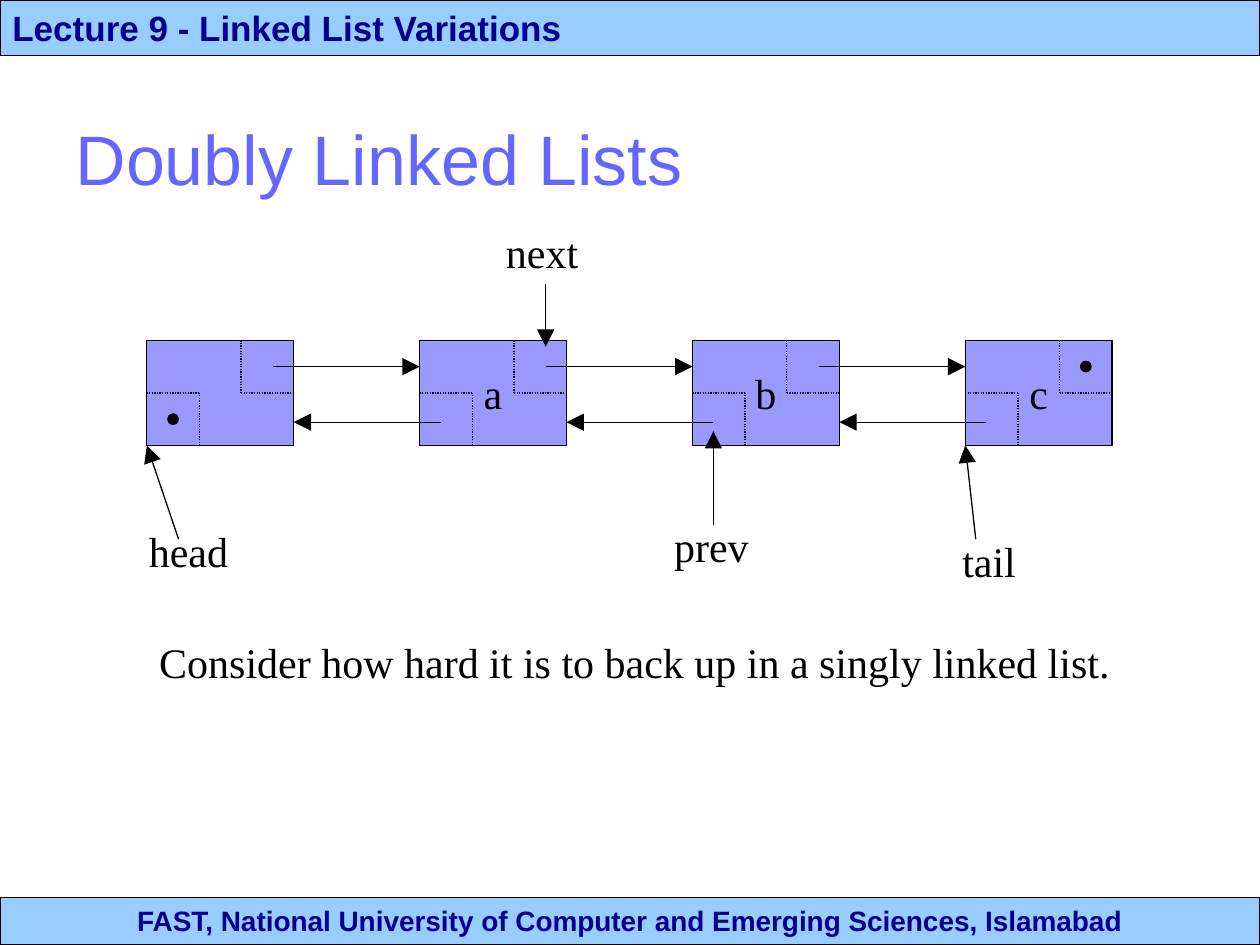
import pptx
import pptx.util
import pptx.dml.color
import pptx.enum.dml
import pptx.enum.shapes
import pptx.enum.text
import pptx.oxml
import pptx.oxml.ns

Cm, Pt = pptx.util.Cm, pptx.util.Pt
SHAPE = pptx.enum.shapes.MSO_SHAPE
ALIGN = pptx.enum.text.PP_ALIGN
ANCHOR = pptx.enum.text.MSO_ANCHOR

COLORS = {"bar": "99CCFF", "bar text": "000090", "node": "9999FF",
          "title": "6666FF", "ink": "000000"}
SERIF, SANS = "Times New Roman", "Arial"

# Node measures in centimetres
NODE_WIDTH, NODE_HEIGHT, PITCH, CORNER = 2.96, 2.12, 5.5, 1.06
NEXT_X, NEXT_Y = 2.54, 0.53
PREV_X, PREV_Y = 0.42, 1.65
DOT = 0.21


def color(name):
    return pptx.dml.color.RGBColor.from_string(COLORS[name])


def set_text(shape, text, size, font=SERIF, ink="ink", bold=False,
             align=ALIGN.LEFT, anchor=ANCHOR.TOP, wrap=True):
    frame = shape.text_frame
    frame.text = text
    frame.word_wrap = wrap
    frame.vertical_anchor = anchor
    paragraph = frame.paragraphs[0]
    paragraph.alignment = align
    paragraph.font.size = Pt(size)
    paragraph.font.name = font
    paragraph.font.bold = bold
    paragraph.font.color.rgb = color(ink)


def add_filled(slide, kind, left, top, width, height, fill):
    shape = slide.shapes.add_shape(kind, Cm(left), Cm(top), Cm(width), Cm(height))
    shape.shadow.inherit = False
    shape.fill.solid()
    shape.fill.fore_color.rgb = color(fill)
    shape.line.color.rgb = color("ink")
    shape.line.width = Pt(0.75)
    return shape


def add_line(slide, start, end, arrow=False, dotted=False):
    connector = slide.shapes.add_connector(
        pptx.enum.shapes.MSO_CONNECTOR.STRAIGHT,
        Cm(start[0]), Cm(start[1]), Cm(end[0]), Cm(end[1]))
    connector.line.color.rgb = color("ink")
    connector.line.width = Pt(0.75)
    if dotted:
        connector.line.dash_style = pptx.enum.dml.MSO_LINE.ROUND_DOT
    properties = connector._element.spPr
    namespace = pptx.oxml.ns.nsdecls("a")
    if arrow:
        properties.find(pptx.oxml.ns.qn("a:ln")).append(pptx.oxml.parse_xml(
            f'<a:tailEnd {namespace} type="triangle" w="lg" len="lg"/>'))
    properties.append(pptx.oxml.parse_xml(f"<a:effectLst {namespace}/>"))


def add_label(slide, text, left, top, width, height, wrap=True):
    box = slide.shapes.add_textbox(Cm(left), Cm(top), Cm(width), Cm(height))
    set_text(box, text, 24, wrap=wrap)
    box.text_frame.auto_size = pptx.enum.text.MSO_AUTO_SIZE.SHAPE_TO_FIT_TEXT


def add_bar(slide, text, size, top, height, align):
    bar = add_filled(slide, SHAPE.RECTANGLE, 0, top, 25.4, height, "bar")
    set_text(bar, text, size, SANS, "bar text", True, align)


def add_title(slide, text, left, top, width, height):
    title = slide.shapes.title
    title.left, title.top = Cm(left), Cm(top)
    title.width, title.height = Cm(width), Cm(height)
    set_text(title, text, 40, SANS, "title", anchor=ANCHOR.MIDDLE)


def add_dot(slide, x, y):
    add_filled(slide, SHAPE.OVAL, x - DOT / 2, y - DOT / 2, DOT, DOT, "ink")


def add_node(slide, text, left, top):
    node = add_filled(slide, SHAPE.RECTANGLE, left, top,
                      NODE_WIDTH, NODE_HEIGHT, "node")
    if text:
        set_text(node, text, 24, align=ALIGN.CENTER,
                 anchor=ANCHOR.MIDDLE, wrap=False)
    # Dotted pointer cells: next at top right, prev at bottom left
    right, middle = left + NODE_WIDTH, top + CORNER
    for inner, edge, side in ((right - CORNER, top, right),
                              (left + CORNER, top + NODE_HEIGHT, left)):
        add_line(slide, (inner, edge), (inner, middle), dotted=True)
        add_line(slide, (inner, middle), (side, middle), dotted=True)


def add_linked_list(slide, values, left, top):
    lefts = [left + PITCH * index for index in range(len(values))]
    for value, x in zip(values, lefts):
        add_node(slide, value, x, top)

    # Links between neighbours
    for x, following in zip(lefts, lefts[1:]):
        add_line(slide, (x + NEXT_X, top + NEXT_Y),
                 (following, top + NEXT_Y), arrow=True)
        add_line(slide, (following + PREV_X, top + PREV_Y),
                 (x + NODE_WIDTH, top + PREV_Y), arrow=True)

    # Null pointers at both ends
    add_dot(slide, lefts[0] + CORNER / 2, top + NODE_HEIGHT - CORNER / 2)
    add_dot(slide, lefts[-1] + NODE_WIDTH - CORNER / 2, top + CORNER / 2)

    # Captions: node, label offset and width, arrow start and end offsets
    captions = (
        ("head", 0, (-0.21, 3.6), 2.12, (0.64, 4.01), (0, NODE_HEIGHT)),
        ("next", 1, (1.49, -2.41), 2.12, (NEXT_X, -1.14), (NEXT_X, 0.13)),
        ("prev", 2, (-0.62, 3.51), 2.12, (PREV_X, 3.73), (PREV_X, 1.83)),
        ("tail", 3, (-0.31, 3.81), 1.6, (0.21, 4.01), (0, NODE_HEIGHT)),
    )
    for text, index, offset, width, start, end in captions:
        x = lefts[index]
        add_label(slide, text, x + offset[0], top + offset[1], width, 1.27,
                  wrap=False)
        add_line(slide, (x + start[0], top + start[1]),
                 (x + end[0], top + end[1]), arrow=True)


def main():
    presentation = pptx.Presentation()
    presentation.slide_width, presentation.slide_height = Cm(25.4), Cm(19.05)
    slide = presentation.slides.add_slide(presentation.slide_layouts[5])

    # Footer and header bars
    add_bar(slide, "FAST, National University of Computer and Emerging Sciences, Islamabad",
            16, 18.09, 0.96, ALIGN.CENTER)
    add_bar(slide, "Lecture 9 - Linked List Variations", 20, 0, 1.12, ALIGN.LEFT)

    # Title, diagram and closing remark
    add_title(slide, "Doubly Linked Lists", 1.27, 1.27, 22.86, 3.81)
    add_linked_list(slide, ("", "a", "b", "c"), 2.96, 6.86)
    add_label(slide, "Consider how hard it is to back up in a singly linked list.",
              2.96, 12.7, 20.32, 2.31)

    presentation.save("out.pptx")


if __name__ == "__main__":
    main()
